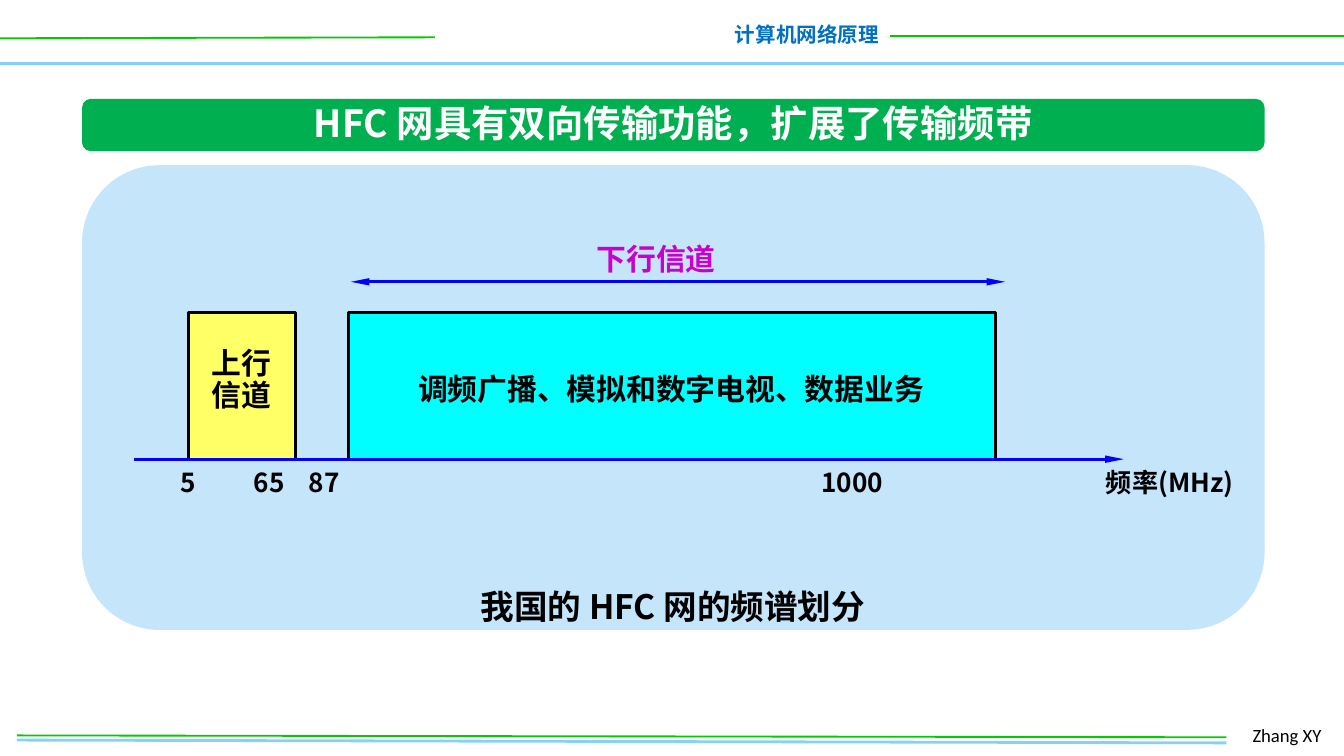
from lxml import etree
from pptx import Presentation
from pptx.dml.color import RGBColor
from pptx.enum import shapes, text
from pptx.oxml import ns
from pptx.util import Pt

COLORS = {
    "sky": "85D1F7", "lime": "00CC00", "header": "0070C0", "banner": "00B050",
    "panel": "C5E5FB", "upstream": "FFFF66", "downstream": "00FFFF",
    "arrow": "0000FF", "magenta": "CC00CC", "black": "000000", "white": "FFFFFF",
}
CJK = "Noto Sans CJK SC"
LEFT, CENTER, RIGHT = text.PP_ALIGN.LEFT, text.PP_ALIGN.CENTER, text.PP_ALIGN.RIGHT


def color(name):
    return RGBColor.from_string(COLORS[name])


def place(shape, left, top, width, height):
    shape.left, shape.top, shape.width, shape.height = map(Pt, (left, top, width, height))


def write(shape, words, size, ink="black", align=LEFT, bold=True, font=CJK,
          wrap=False, spacing=None, tabs=()):
    """Fill a text shape, centred vertically and without margins."""
    frame = shape.text_frame
    frame.auto_size = text.MSO_AUTO_SIZE.NONE
    frame.word_wrap = wrap
    frame.vertical_anchor = text.MSO_ANCHOR.MIDDLE
    frame.margin_left = frame.margin_right = frame.margin_top = frame.margin_bottom = 0
    frame.text = words
    for paragraph in frame.paragraphs:
        paragraph.alignment = align
        if spacing:
            paragraph.line_spacing = Pt(spacing)
        if tabs:
            properties = paragraph._p.get_or_add_pPr()
            tab_list = etree.SubElement(properties, ns.qn("a:tabLst"))
            for position in tabs:
                etree.SubElement(tab_list, ns.qn("a:tab"), pos=str(Pt(position)), algn="l")
        paragraph.font.size = Pt(size)
        paragraph.font.bold = bold
        paragraph.font.color.rgb = color(ink)
        paragraph.font.name = font
        etree.SubElement(paragraph.font._element, ns.qn("a:ea"), typeface=font)


def add_text(slide, box, words, size, **style):
    shape = slide.shapes.add_textbox(*map(Pt, box))
    write(shape, words, size, **style)


def add_line(slide, x1, y1, x2, y2, ink, width, ends=()):
    line = slide.shapes.add_connector(
        shapes.MSO_CONNECTOR.STRAIGHT, *map(Pt, (x1, y1, x2, y2)))
    line.line.color.rgb = color(ink)
    line.line.width = Pt(width)
    etree.SubElement(line._element.spPr, ns.qn("a:effectLst"))
    for end in ends:
        etree.SubElement(line.line._get_or_add_ln(), ns.qn(f"a:{end}"),
                         type="triangle", w="sm", len="lg")


def add_block(slide, kind, box, fill, outline=None):
    shape = slide.shapes.add_shape(kind, *map(Pt, box))
    shape.shadow.inherit = False
    shape.fill.solid()
    shape.fill.fore_color.rgb = color(fill)
    if outline:
        shape.line.color.rgb = color(outline)
        shape.line.width = Pt(1.5)
    else:
        shape.line.fill.background()


def add_header(slide, left, top, width, height):
    add_line(slide, left, top + height, left + width, top + height, "sky", 2)
    add_line(slide, left, top + 20.5, left + 233, top + 20, "lime", 1)
    add_line(slide, left + 477, top + 19.5, left + width, top + 19.5, "lime", 1)
    add_text(slide, (left + 391, top + 8, 80, 21), "计算机网络原理", 11,
             ink="header", align=RIGHT)


def add_footer(slide, left, top, width, height):
    add_line(slide, left, top + 2.5, left + 648, top + 4, "sky", 1.5)
    add_line(slide, left, top, left + 648, top + 1, "lime", 1)
    add_text(slide, (left + 662, top - 10, width - 662, height), "Zhang XY", 10,
             bold=False, font="Calibri")


def add_banner(slide, left, top, width, height):
    add_block(slide, shapes.MSO_SHAPE.ROUNDED_RECTANGLE,
              (left, top, width, height), "banner")
    # Bring the title in front of its banner
    title = slide.shapes.title
    slide.shapes._spTree.append(title._element)
    place(title, left, top - 1.5, width, height)
    write(title, "HFC 网具有双向传输功能，扩展了传输频带", 20, ink="white", align=CENTER)


def add_spectrum(slide, left, top, width, height):
    rectangle = shapes.MSO_SHAPE.RECTANGLE
    bar_top, bar_height = top + 79, 78.5
    axis = bar_top + bar_height
    add_block(slide, shapes.MSO_SHAPE.ROUNDED_RECTANGLE,
              (left, top, width, height), "panel")

    # Downstream span
    add_line(slide, left + 144, top + 62.5, left + 494.5, top + 62.5, "arrow", 1.5,
             ends=("headEnd", "tailEnd"))
    add_text(slide, (left + 264, top + 36, 87, 28), "下行信道", 16,
             ink="magenta", align=CENTER)

    # Channel bars
    add_block(slide, rectangle, (left + 57, bar_top, 57.5, bar_height),
              "upstream", "black")
    add_text(slide, (left + 69.5, bar_top + 15.5, 40, 42), "上行\n信道", 16, spacing=17)
    add_block(slide, rectangle, (left + 142.5, bar_top, 347, bar_height),
              "downstream", "black")
    add_text(slide, (left + 180, bar_top + 27, 272, 27),
             "调频广播、模拟和数字电视、数据业务", 16)

    # Frequency axis
    add_line(slide, left + 28, axis, left + 558, axis, "arrow", 1.5, ends=("tailEnd",))
    add_text(slide, (left + 52.5, axis + 2, 475, 21), "5\t65\t87\t1000", 14,
             wrap=True, tabs=(39.5, 69, 343.5))
    add_text(slide, (left + 548.5, axis + 2, 72, 21), "频率(MHz)", 14)

    # Caption
    add_text(slide, (left + 211, top + 211, 211, 50), "我国的 HFC 网的频谱划分", 18,
             align=CENTER, wrap=True, spacing=22.5)


def main():
    presentation = Presentation()
    presentation.slide_width, presentation.slide_height = Pt(720), Pt(405)
    slide = presentation.slides.add_slide(presentation.slide_layouts[5])
    add_header(slide, 0, 0, 720, 34)
    add_footer(slide, 9, 394, 711, 20)
    add_banner(slide, 44, 53, 633.5, 28)
    add_spectrum(slide, 44, 88.5, 633.5, 249)
    presentation.save("out.pptx")


if __name__ == "__main__":
    main()
